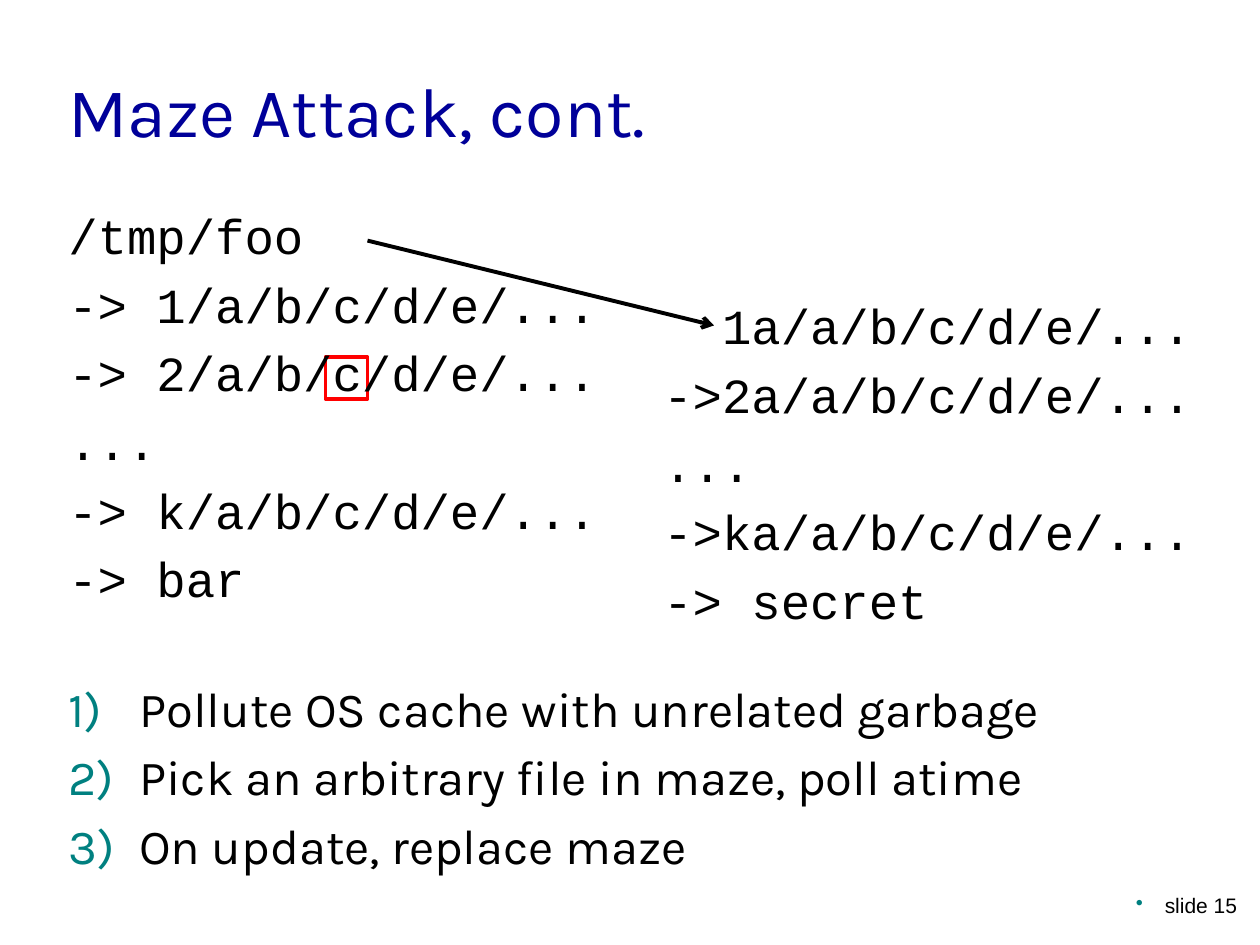
import pptx
import pptx.dml.color
import pptx.enum.shapes
import pptx.enum.text
import pptx.oxml.ns
import pptx.util
from lxml import etree

Pt = pptx.util.Pt
ANCHOR = pptx.enum.text.MSO_ANCHOR
ALIGN = pptx.enum.text.PP_ALIGN
qn = pptx.oxml.ns.qn

NAVY = pptx.dml.color.RGBColor(0x00, 0x00, 0x99)
BLACK = pptx.dml.color.RGBColor(0x00, 0x00, 0x00)
TEAL = pptx.dml.color.RGBColor(0x00, 0x80, 0x80)
RED = pptx.dml.color.RGBColor(0xFF, 0x00, 0x00)

LINE_GAP = 5.6  # 20% of the 28 pt body size

ORIGINAL_MAZE = ["/tmp/foo", "-> 1/a/b/c/d/e/...", "-> 2/a/b/c/d/e/...",
                 "...", "-> k/a/b/c/d/e/...", "-> bar"]
NEW_MAZE = ["  1a/a/b/c/d/e/...", "->2a/a/b/c/d/e/...", "...",
            "->ka/a/b/c/d/e/...", "-> secret"]
STEPS = ["Pollute OS cache with unrelated garbage",
         "Pick an arbitrary file in maze, poll atime",
         "On update, replace maze"]


def add_text(slide, box, lines, font, size, color, anchor=ANCHOR.TOP):
    """Place one paragraph per line in box (left, top, width, height)."""
    shape = slide.shapes.add_textbox(*map(Pt, box))
    frame = shape.text_frame
    frame.word_wrap = True
    frame.vertical_anchor = anchor
    frame.text = "\n".join(lines)
    for index, paragraph in enumerate(frame.paragraphs):
        if index:
            paragraph.space_before = Pt(LINE_GAP)
        for run in paragraph.runs:
            run.font.name = font
            run.font.size = Pt(size)
            run.font.color.rgb = color
    return frame


def set_bullet(paragraph, indent, tag, **attributes):
    """Give the paragraph a teal bullet or number with a hanging indent."""
    properties = paragraph._p.get_or_add_pPr()
    properties.set("marL", str(Pt(indent)))
    properties.set("indent", str(-Pt(indent)))
    color = etree.SubElement(properties, qn("a:buClr"))
    etree.SubElement(color, qn("a:srgbClr"), val=str(TEAL))
    etree.SubElement(properties, qn(tag), **attributes)


def add_title(slide, box):
    add_text(slide, box, ["Maze Attack, cont."], "Karla", 40, NAVY, ANCHOR.BOTTOM)


def add_maze(slide, box, lines):
    add_text(slide, box, lines, "Courier New", 28, BLACK)


def add_steps(slide, box):
    frame = add_text(slide, box, STEPS, "Karla", 28, BLACK)
    for paragraph in frame.paragraphs:
        set_bullet(paragraph, 40.5, "a:buAutoNum", type="arabicParenR")


def add_slide_number(slide, box):
    frame = add_text(slide, box, ["slide 15"], "Arial", 12, BLACK, ANCHOR.BOTTOM)
    paragraph = frame.paragraphs[0]
    paragraph.alignment = ALIGN.RIGHT
    set_bullet(paragraph, 16.5, "a:buChar", char="•")


def add_marker(slide, box):
    shape = slide.shapes.add_shape(
        pptx.enum.shapes.MSO_SHAPE.RECTANGLE, *map(Pt, box))
    shape.shadow.inherit = False
    shape.fill.background()
    shape.line.color.rgb = RED
    shape.line.width = Pt(2.25)


def add_arrow(slide, start, end):
    connector = slide.shapes.add_connector(
        pptx.enum.shapes.MSO_CONNECTOR.STRAIGHT, *map(Pt, start + end))
    connector.line.color.rgb = BLACK
    connector.line.width = Pt(2.25)
    etree.SubElement(connector.line._get_or_add_ln(), qn("a:tailEnd"), type="arrow")
    etree.SubElement(connector._element.spPr, qn("a:effectLst"))


def main():
    presentation = pptx.Presentation()
    presentation.slide_width = Pt(720)
    presentation.slide_height = Pt(540)
    slide = presentation.slides.add_slide(presentation.slide_layouts[6])

    # Title, numbered steps and slide number
    add_title(slide, (32, 18, 612, 72))
    add_steps(slide, (32, 384, 636, 126))
    add_slide_number(slide, (564, 492, 150, 36))

    # The polled directory is marked behind the original path
    add_marker(slide, (186, 204, 24, 24))

    # Replacement maze, redirect arrow and original maze
    add_maze(slide, (372, 165.5, 328.5, 218.5), NEW_MAZE)
    add_arrow(slide, (210, 137.5), (408, 186))
    add_maze(slide, (32, 114, 328.5, 258), ORIGINAL_MAZE)

    presentation.save("out.pptx")


if __name__ == "__main__":
    main()
